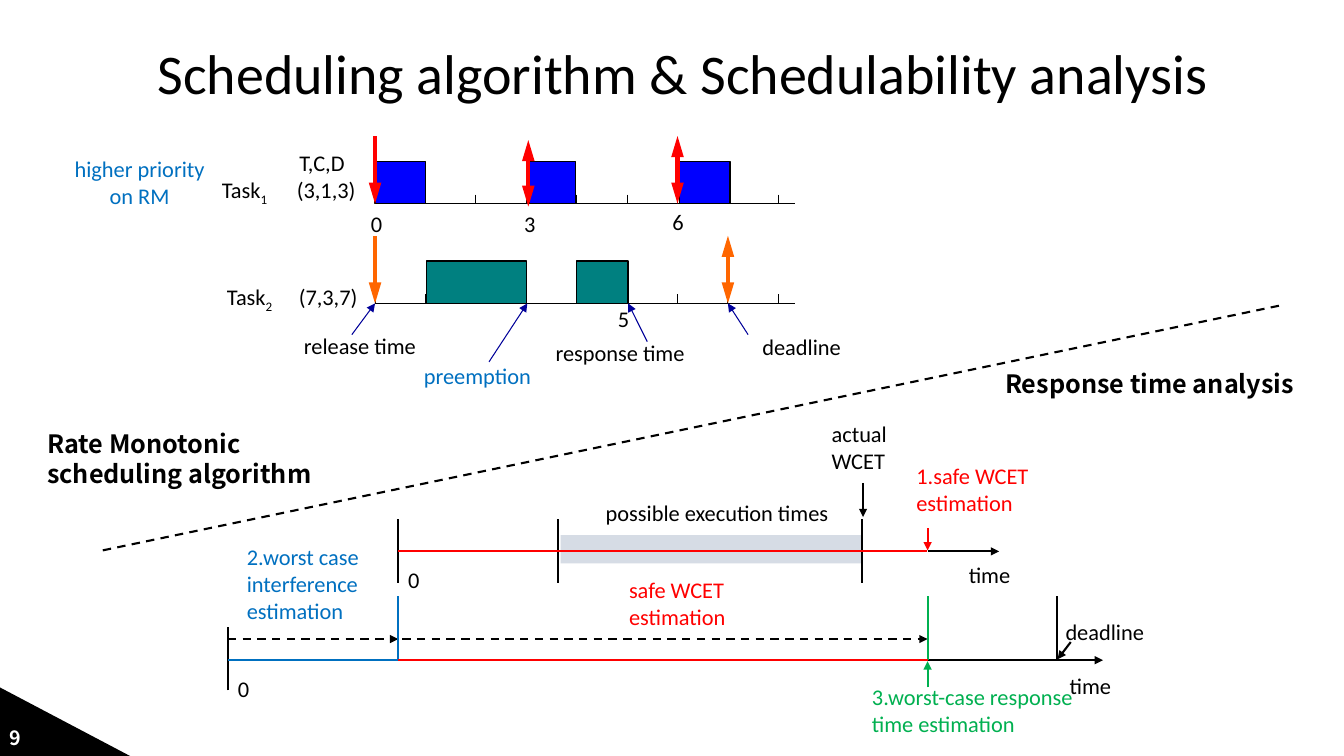
from dataclasses import dataclass
from lxml.etree import SubElement
from pptx import Presentation
from pptx.dml.color import RGBColor
from pptx.enum.dml import MSO_LINE
from pptx.enum.shapes import MSO_CONNECTOR, MSO_SHAPE
from pptx.enum.text import MSO_ANCHOR, PP_ALIGN
from pptx.oxml.ns import qn
from pptx.util import Pt

PX = 9144
BODY = "Calibri"
HEADING = "Noto Sans CJK KR"
COLORS = {
    "black": "000000", "white": "FFFFFF", "red": "FF0000", "orange": "FF6600",
    "blue": "0070C0", "navy": "000099", "task1": "0000FF", "task2": "008080",
    "green": "00B050", "band": "D6DCE5",
}


@dataclass
class Region:
    """A page and the top left corner that parts are placed from, in px."""
    page: object
    left: int = 0
    top: int = 0

    def place(self, x, y):
        """Turn an offset in the region into slide EMU."""
        return (self.left + x) * PX, (self.top + y) * PX


def color(name):
    """Look up a named colour."""
    return RGBColor.from_string(COLORS[name])


def add_text(region, text, x, y, width, height, size=16, font=BODY, ink="black",
             bold=False, center=False, wrap=True, middle=False, spacing=None, subscript=""):
    """Place formatted text, one paragraph for each line."""
    box = region.page.shapes.add_textbox(*region.place(x, y), width * PX, height * PX)
    frame = box.text_frame
    frame.word_wrap = wrap
    frame.vertical_anchor = MSO_ANCHOR.MIDDLE if middle else MSO_ANCHOR.TOP
    frame.text = text
    if subscript:
        span = frame.paragraphs[0].add_run()
        span.text = subscript
        span._r.get_or_add_rPr().set("baseline", "-25000")
    for para in frame.paragraphs:
        para.alignment = PP_ALIGN.CENTER if center else PP_ALIGN.LEFT
        if spacing:
            para.line_spacing = spacing
        for span in para.runs:
            span.font.name, span.font.size, span.font.bold = font, Pt(size), bold
            span.font.color.rgb = color(ink)


def add_line(region, start, end, ink="black", width=1.5, dash=False, head=False,
             tail=False, length="med"):
    """Draw a straight line with optional dashes and arrowheads."""
    line = region.page.shapes.add_connector(
        MSO_CONNECTOR.STRAIGHT, *region.place(*start), *region.place(*end))
    line.line.color.rgb = color(ink)
    line.line.width = Pt(width)
    if dash:
        line.line.dash_style = MSO_LINE.DASH
    outline = line.line._get_or_add_ln()
    for tag, wanted in (("a:headEnd", head), ("a:tailEnd", tail)):
        if wanted:
            SubElement(outline, qn(tag), type="triangle", w="med", len=length)
    SubElement(line._element.spPr, qn("a:effectLst"))


def add_block(region, x, y, width, height, fill, outlined=True):
    """Draw a filled rectangle."""
    block = region.page.shapes.add_shape(
        MSO_SHAPE.RECTANGLE, *region.place(x, y), width * PX, height * PX)
    block.shadow.inherit = False
    block.fill.solid()
    block.fill.fore_color.rgb = color(fill)
    if outlined:
        block.line.color.rgb = color("black")
        block.line.width = Pt(1)
    else:
        block.line.fill.background()


def draw_frame(region):
    """Draw the title, page corner, headings and dividing line."""
    builder = region.page.shapes.build_freeform(0, 682, scale=PX)
    builder.add_line_segments([(129, 750), (0, 750)], close=True)
    corner = builder.convert_to_shape()
    corner.shadow.inherit = False
    corner.fill.solid()
    corner.fill.fore_color.rgb = color("black")
    corner.line.fill.background()
    add_text(region, "9", 0, 716, 64, 31, size=14, font=HEADING, ink="white",
             bold=True, middle=True)
    add_text(region, "Scheduling algorithm & Schedulability analysis", 47, 36, 1260, 79,
             size=40, center=True, middle=True, spacing=0.9)
    add_line(region, (102, 546), (1270, 303), dash=True)
    heading = dict(size=18, font=HEADING, bold=True, spacing=Pt(22))
    add_text(region, "Rate Monotonic\nscheduling algorithm", 37, 419, 282, 71, **heading)
    add_text(region, "Response time analysis", 987, 360, 311, 40, **heading)


def draw_task(region, fill, ink, blocks, events):
    """Draw one task's time axis, execution blocks and event arrows."""
    axis, unit = 67, 50
    add_line(region, (0, axis), (417, axis), width=0.75)
    for tick in range(9):
        add_line(region, (tick * unit, axis - 9), (tick * unit, axis), width=0.75)
    for x, width in blocks:
        add_block(region, x, axis - 42, width, 42, fill)
    for x, top, bottom in events:
        add_line(region, (x, top), (x, bottom), ink, 3, head=x > 0, tail=True, length="lg")


def draw_schedule(region):
    """Draw the two task rows with their labels and pointers."""
    origin = region.left + 314
    draw_task(Region(region.page, origin, region.top), "task1", "red",
              [(0, 50), (153, 46), (302, 50)], [(0, 0, 67), (152, 4, 70), (300, 0, 67)])
    draw_task(Region(region.page, origin, region.top + 99), "task2", "orange",
              [(51, 99), (200, 51)], [(0, 0, 67), (350, 0, 67)])
    for text, x, y in (("0", 299, 69), ("3", 451, 69), ("6", 598, 67), ("5", 544, 163)):
        add_text(region, text, x, y, 33, 37, center=True, wrap=False)
    for number, x, y, width, values, values_x in (
            ("1", 136, 35, 97, "(3,1,3)", 226), ("2", 156, 141, 67, "(7,3,7)", 228)):
        add_text(region, "Task", x, y, width, 37, center=True, wrap=False, subscript=number)
        add_text(region, values, values_x, y, 79, 37, center=True, wrap=False)
    add_text(region, "T,C,D", 229, 8, 91, 37)
    add_text(region, "higher priority on RM", 0, 14, 161, 64, ink="blue", center=True)
    for text, x, y, width, ink, start, target in (
            ("release time", 208, 190, 182, "black", (291, 197), 314),
            ("response time", 466, 197, 182, "black", (584, 204), 565),
            ("deadline", 646, 191, 182, "black", (684, 197), 664),
            ("preemption", 344, 219, 143, "blue", (427, 224), 465)):
        add_text(region, text, x, y, width, 37, ink=ink, center=True)
        add_line(region, start, (target, 166), "navy", 0.75, tail=True)


def draw_execution_timeline(region):
    """Draw the range of execution times and the safe estimate."""
    axis = 135
    add_block(region, 161, 119, 300, 28, "band", outlined=False)
    add_line(region, (525, axis), (596, axis), tail=True)
    for x in (0, 158, 460):
        add_line(region, (x, 166), (x, 103))
    add_line(region, (461, 67), (461, 101), tail=True)
    add_line(region, (525, 112), (525, 134), "red", tail=True)
    add_line(region, (0, axis), (524, axis), "red")
    add_text(region, "0", 0, 145, 35, 37)
    add_text(region, "time", 556, 140, 72, 37)
    add_text(region, "actual\nWCET", 420, 0, 105, 64)
    add_text(region, "1.safe WCET\nestimation", 504, 42, 178, 64, ink="red")
    add_text(region, "possible execution times", 196, 78, 243, 37)


def draw_response_timeline(region):
    """Draw interference plus execution time up to the deadline."""
    axis, release, response, deadline = 121, 169, 694, 822
    add_line(region, (response, axis), (868, axis), tail=True)
    add_line(region, (0, 151), (0, 88))
    add_line(region, (0, 100), (release, 100), dash=True, tail=True)
    add_line(region, (release + 4, 100), (response, 100), dash=True, tail=True)
    for x, ink in ((release, "blue"), (response, "green"), (deadline, "black")):
        add_line(region, (x, axis), (x, 57), ink)
    add_line(region, (response, 148), (response, 122), "green", tail=True)
    add_line(region, (836, 103), (823, 120), tail=True)
    add_line(region, (release, axis), (response, axis), "red")
    add_line(region, (0, axis), (release, axis), "blue")
    add_text(region, "0", 0, 131, 35, 37)
    add_text(region, "time", 825, 128, 72, 37)
    add_text(region, "2.worst case\ninterference\nestimation", 9, 0, 173, 91, ink="blue")
    add_text(region, "safe WCET\nestimation", 388, 33, 181, 64, ink="red")
    add_text(region, "3.worst-case response time estimation", 629, 139, 223, 64, ink="green")
    add_text(region, "deadline", 821, 74, 117, 37)


def main():
    """Build the slide and save the deck."""
    deck = Presentation()
    deck.slide_width, deck.slide_height = 1333 * PX, 750 * PX
    page = deck.slides.add_slide(deck.slide_layouts[6])
    draw_frame(Region(page))
    draw_schedule(Region(page, 58, 135))
    draw_execution_timeline(Region(page, 395, 412))
    draw_response_timeline(Region(page, 226, 534))
    deck.save("out.pptx")


if __name__ == "__main__":
    main()
